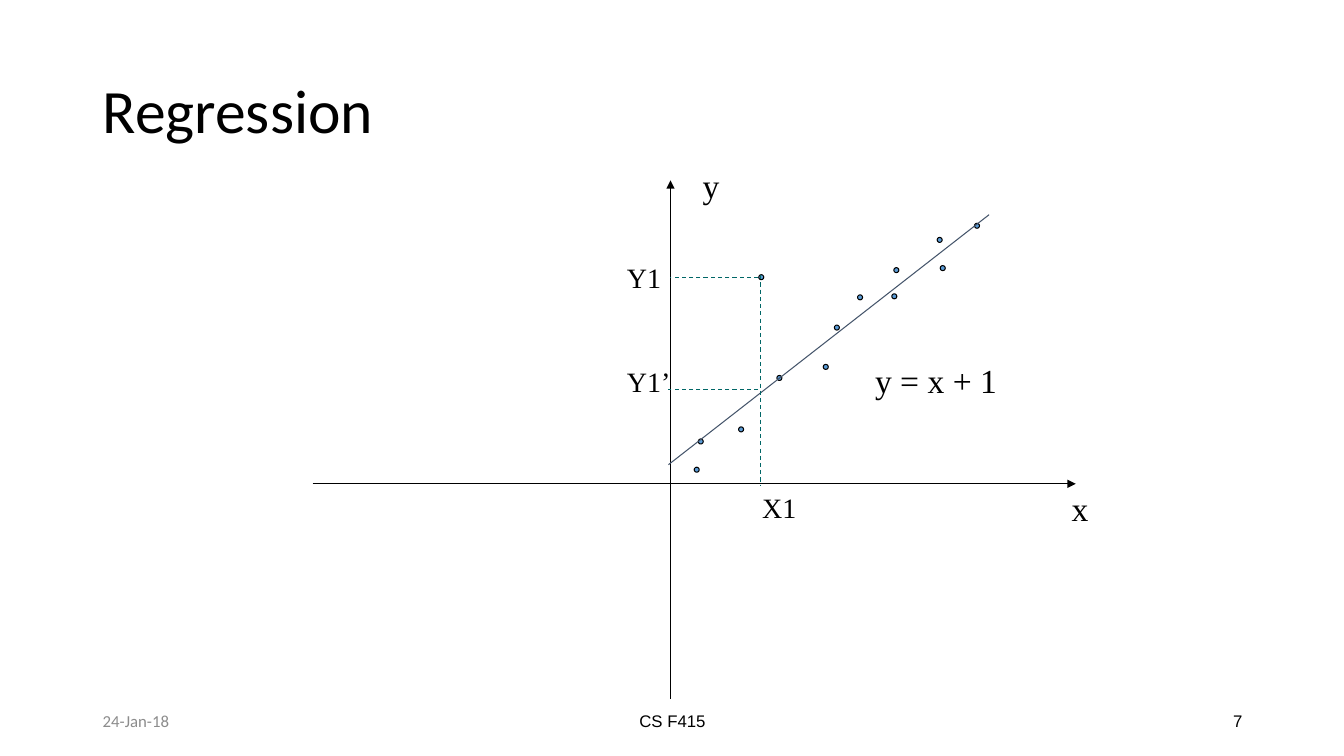
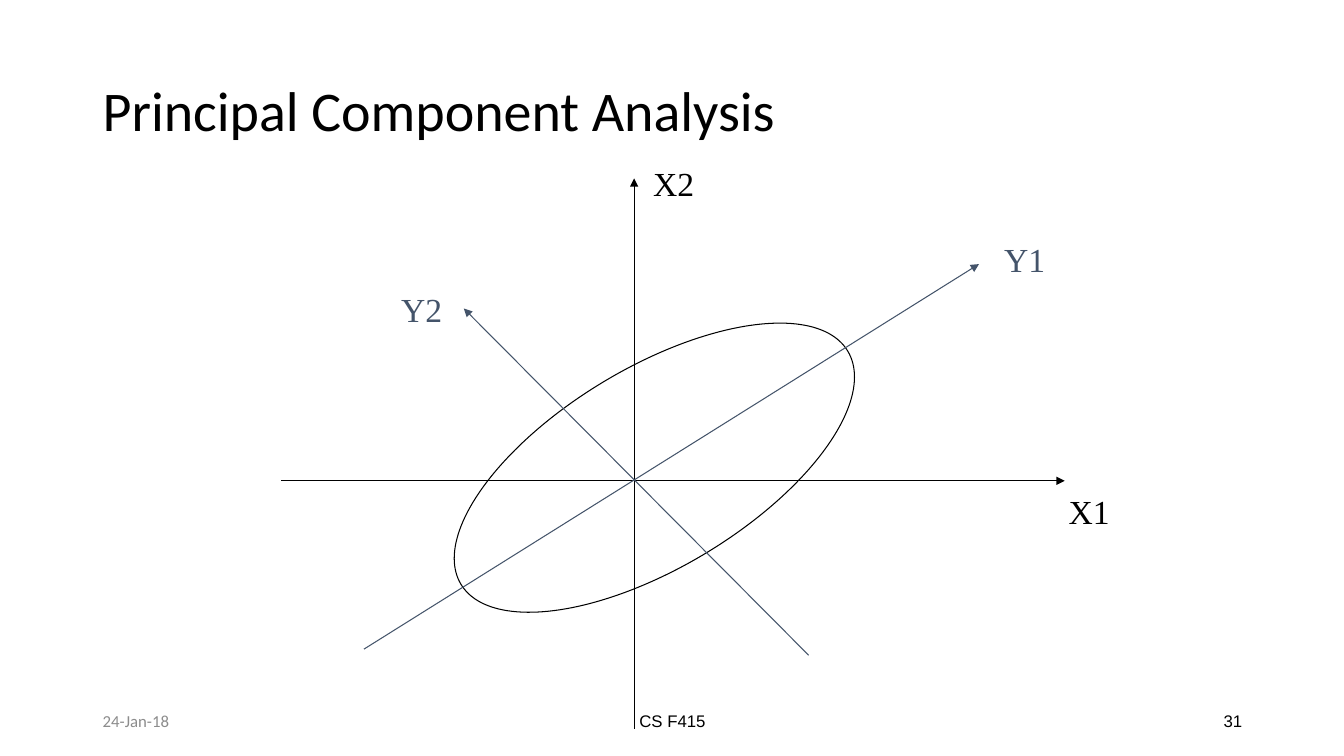
from lxml.etree import SubElement
from pptx import Presentation
from pptx.dml.color import RGBColor
from pptx.enum.dml import MSO_LINE
from pptx.enum.shapes import MSO_CONNECTOR, MSO_SHAPE
from pptx.enum.text import MSO_ANCHOR, MSO_AUTO_SIZE, PP_ALIGN
from pptx.oxml.ns import qn
from pptx.util import Inches, Pt

BLACK, GREY, SLATE, TEAL, BLUE = "000000", "8C8C8C", "44546A", "006666", "5B9BD5"
HEAD, BODY, MATH = "Calibri", "Arial", "Times New Roman"
THIN = Pt(0.75)
DOT = 0.05


def paint(color, value):
    color.rgb = RGBColor.from_string(value)


def write(slide, box, text, size, face, color=BLACK, align=PP_ALIGN.LEFT, wrap=True):
    frame = slide.shapes.add_textbox(*map(Inches, box)).text_frame
    frame.text = text
    frame.word_wrap = wrap
    if wrap:
        frame.vertical_anchor = MSO_ANCHOR.MIDDLE
    else:
        frame.auto_size = MSO_AUTO_SIZE.SHAPE_TO_FIT_TEXT
    para = frame.paragraphs[0]
    para.alignment = align
    font = para.runs[0].font
    font.size, font.name = Pt(size), face
    paint(font.color, color)
    return para


def frame_slide(deck, title, size, number):
    """Add a slide with its title and footer."""
    slide = deck.slides.add_slide(deck.slide_layouts[6])
    write(slide, (0.92, 0.4, 11.5, 1.45), title, size, HEAD).line_spacing = 0.9
    top, height = 6.95, 0.4
    write(slide, (0.92, top, 3, height), "24-Jan-18", 12, HEAD, GREY)
    write(slide, (4.42, top, 4.5, height), "CS F415", 12, BODY, align=PP_ALIGN.CENTER)
    write(slide, (9.42, top, 3, height), number, 12, BODY, align=PP_ALIGN.RIGHT)
    return slide


class Plane:
    """Draws in inches right of and above an origin on a slide."""

    def __init__(self, slide, left, top):
        self.slide, self.left, self.top = slide, left, top

    def spot(self, x, y):
        return self.left + x, self.top - y

    def line(self, start, end, color=BLACK, arrow=False, dash=False):
        ends = map(Inches, self.spot(*start) + self.spot(*end))
        link = self.slide.shapes.add_connector(MSO_CONNECTOR.STRAIGHT, *ends)
        link.line.width = THIN
        paint(link.line.color, color)
        if dash:
            link.line.dash_style = MSO_LINE.DASH
        if arrow:
            SubElement(link.line._get_or_add_ln(), qn("a:tailEnd"), type="triangle")
        SubElement(link._element.spPr, qn("a:effectLst"))

    def axes(self, west, east, south, north):
        self.line((west, 0), (east, 0), arrow=True)
        self.line((0, south), (0, north), arrow=True)

    def oval(self, x, y, width, height, fill=None, turn=0):
        """Draw an ellipse centred on x, y."""
        left, top = self.spot(x - width / 2, y + height / 2)
        shape = self.slide.shapes.add_shape(
            MSO_SHAPE.OVAL, *map(Inches, (left, top, width, height)))
        shape.shadow.inherit = False
        shape.rotation = turn
        shape.line.width = THIN
        paint(shape.line.color, BLACK)
        if fill:
            shape.fill.solid()
            paint(shape.fill.fore_color, fill)
        else:
            shape.fill.background()

    def label(self, text, x, y, width, size=24, color=BLACK):
        height = 0.5 if size == 24 else 0.43
        box = self.spot(x, y) + (width, height)
        write(self.slide, box, text, size, MATH, color, wrap=False)


def draw_fit(plane):
    """Scatter with its fitted line and one point read off on the axes."""
    plane.axes(-3.55, 4.02, -2.13, 3.01)
    dots = [(1.54, 1.16), (1.08, 1.05), (0.9, 2.05), (0.7, 0.54), (1.65, 1.55),
            (1.88, 1.85), (0.3, 0.42), (2.22, 1.86), (2.24, 2.12), (2.7, 2.14),
            (0.26, 0.14), (2.67, 2.42), (3.04, 2.56)]
    for x, y in dots:
        plane.oval(x, y, DOT, DOT, BLUE)
    plane.line((-0.02, 0.19), (3.16, 2.67), SLATE)
    for start, end in [((0.89, 2.07), (0.89, -0.02)),
                       ((0.87, 2.05), (0, 2.05)),
                       ((0.87, 0.94), (-0.02, 0.94))]:
        plane.line(start, end, TEAL, dash=True)
    plane.label("x", 3.88, 0.01, 0.37)
    plane.label("y", 0.22, 3.21, 0.37)
    plane.label("y = x + 1", 1.93, 1.28, 1.41)
    plane.label("X1", 0.81, -0.02, 0.54, 20)
    plane.label("Y1", -0.53, 2.26, 0.54, 20)
    plane.label("Y1’", -0.53, 1.23, 0.63, 20)


def draw_parts(plane):
    """Tilted ellipse with its two principal axes."""
    plane.axes(-3.5, 4.27, -2.46, 3)
    plane.oval(0.2, 0.13, 4.48, 1.98, turn=328.9)
    plane.line((-2.68, -1.67), (3.42, 2.15), SLATE, arrow=True)
    plane.line((1.73, -1.73), (-1.69, 1.71), SLATE, arrow=True)
    for text, x, y, color in [("X1", 4.21, -0.05, BLACK), ("X2", 0.09, 3.2, BLACK),
                              ("Y1", 3.57, 2.45, SLATE), ("Y2", -2.41, 1.95, SLATE)]:
        plane.label(text, x, y, 0.61, color=color)


def main():
    deck = Presentation()
    deck.slide_width, deck.slide_height = Inches(13.33), Inches(7.5)
    draw_fit(Plane(frame_slide(deck, "Regression", 44, "7"), 6.65, 4.8))
    slide = frame_slide(deck, "Principal Component Analysis", 40, "31")
    draw_parts(Plane(slide, 6.29, 4.77))
    deck.save("out.pptx")


if __name__ == "__main__":
    main()
